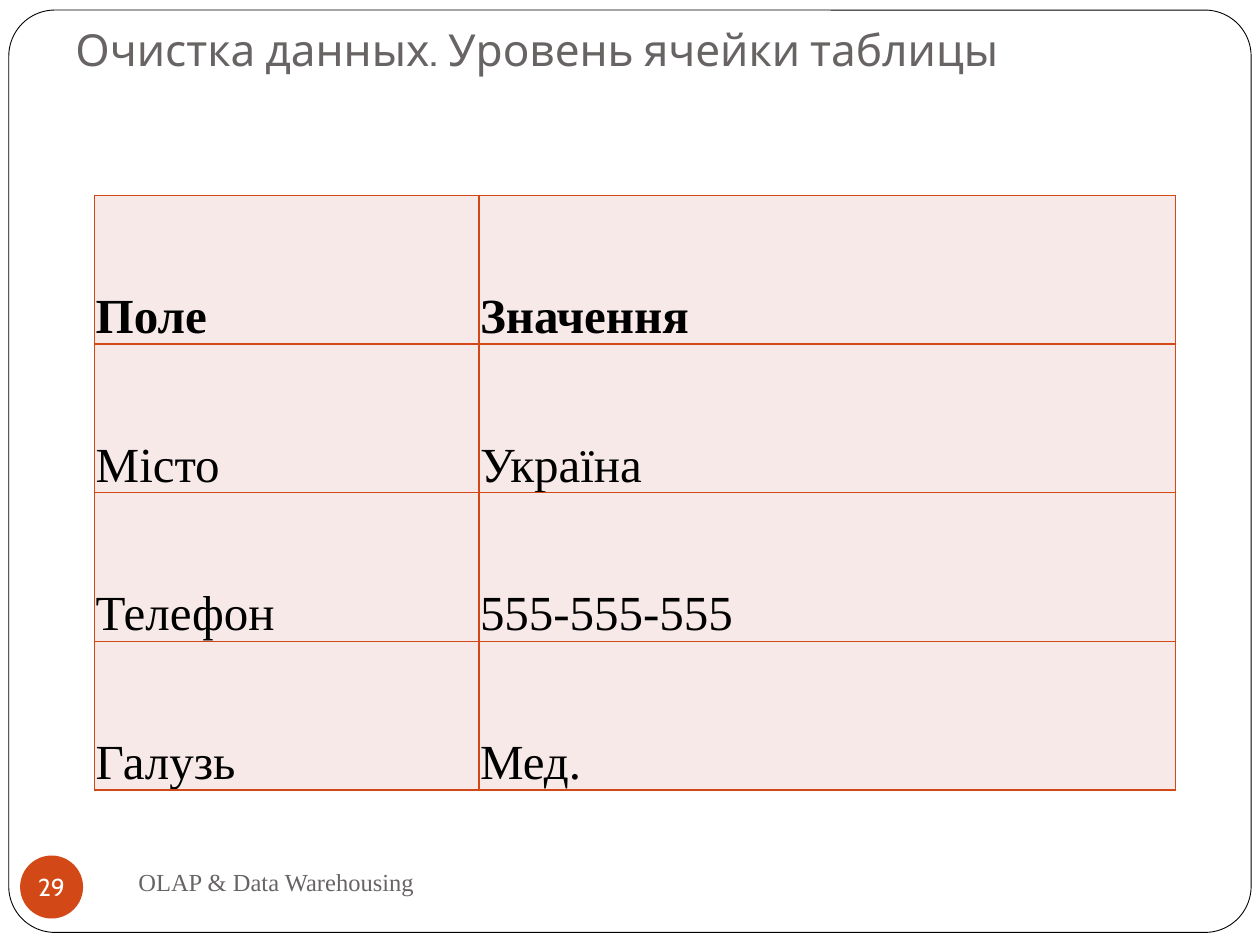
from dataclasses import dataclass

from lxml.etree import SubElement
from pptx import Presentation
from pptx.dml.color import RGBColor
from pptx.enum.shapes import MSO_SHAPE
from pptx.enum.text import MSO_ANCHOR, PP_ALIGN
from pptx.oxml.ns import qn
from pptx.util import Inches, Pt

HUES = {"white": "FFFFFF", "black": "000000", "grey": "696464",
        "rust": "D34817", "pink": "F7E9E8"}
SERIF = "Times New Roman"
SANS = "Cabin"


@dataclass
class Style:
    font: str
    size: float
    hue: str
    bold: bool = False


@dataclass
class Label:
    text: str
    box: tuple
    style: Style
    anchor: MSO_ANCHOR
    pads: tuple = (0.1, 0.05, 0.1, 0.05)


LABELS = [
    Label("Очистка данных. Уровень ячейки таблицы", (0.5, 0.17, 9, 0.53),
          Style(SANS, 25.2, "grey"), MSO_ANCHOR.BOTTOM, (0.1, 0.05, 0.1, 0.1)),
    Label("OLAP & Data Warehousing", (1, 6.75, 4.33, 0.5),
          Style(SERIF, 14, "grey"), MSO_ANCHOR.MIDDLE),
]
ROWS = [("Поле", "Значення"), ("Місто", "Україна"),
        ("Телефон", "555-555-555"), ("Галузь", "Мед.")]
COLS = (3.05, 5.53)
ROW_H = 1.18


def rgb(hue: str) -> RGBColor:
    return RGBColor.from_string(HUES[hue])


def paint(part, hue: str) -> None:
    part.fill.solid()
    part.fill.fore_color.rgb = rgb(hue)


def pad(part, pads: tuple) -> None:
    (part.margin_left, part.margin_top,
     part.margin_right, part.margin_bottom) = map(Inches, pads)


def write(frame, text: str, style: Style, align=PP_ALIGN.LEFT) -> None:
    para = frame.paragraphs[0]
    para.alignment = align
    run = para.add_run()
    run.text = text
    font = run.font
    font.name, font.size, font.bold = style.font, Pt(style.size), style.bold
    font.color.rgb = rgb(style.hue)


def add_shape(slide, kind: MSO_SHAPE, box: tuple, hue: str):
    shape = slide.shapes.add_shape(kind, *map(Inches, box))
    shape.shadow.inherit = False
    paint(shape, hue)
    return shape


def add_label(slide, label: Label) -> None:
    frame = slide.shapes.add_textbox(*map(Inches, label.box)).text_frame
    frame.word_wrap = True
    frame.vertical_anchor = label.anchor
    pad(frame, label.pads)
    write(frame, label.text, label.style)


def edge(cell, hue: str) -> None:
    props = cell._tc.get_or_add_tcPr()
    for tag in ("a:lnL", "a:lnR", "a:lnT", "a:lnB"):
        line = SubElement(props, qn(tag), w=str(Pt(1)))
        fill = SubElement(line, qn("a:solidFill"))
        SubElement(fill, qn("a:srgbClr"), val=HUES[hue])


def add_grid(slide, left: float, top: float) -> None:
    size = (sum(COLS), ROW_H * len(ROWS))
    grid = slide.shapes.add_table(
        len(ROWS), len(COLS), *map(Inches, (left, top, *size))).table
    for col, wide in zip(grid.columns, COLS):
        col.width = Inches(wide)
    for r, texts in enumerate(ROWS):
        grid.rows[r].height = Inches(ROW_H)
        for c, text in enumerate(texts):
            cell = grid.cell(r, c)
            cell.vertical_anchor = MSO_ANCHOR.BOTTOM
            pad(cell, (0.01, 0.01, 0.01, 0))
            write(cell.text_frame, text, Style(SERIF, 28, "black", r == 0))
            # Borders come before the fill in the cell's XML
            edge(cell, "rust")
            paint(cell, "pink")


def main() -> None:
    deck = Presentation()
    deck.slide_width, deck.slide_height = Inches(10), Inches(7.5)
    slide = deck.slides.add_slide(deck.slide_layouts[6])

    # Rounded page frame
    frame = add_shape(slide, MSO_SHAPE.ROUNDED_RECTANGLE,
                      (0.07, 0.08, 9.86, 7.32), "white")
    frame.adjustments[0] = 0.05
    frame.line.color.rgb = rgb("black")
    frame.line.width = Pt(0.5)

    # Title and footer
    for label in LABELS:
        add_label(slide, label)

    # Page number badge
    badge = add_shape(slide, MSO_SHAPE.OVAL, (0.16, 6.79, 0.5, 0.5), "rust")
    badge.line.fill.background()
    text = badge.text_frame
    text.word_wrap = False
    text.vertical_anchor = MSO_ANCHOR.MIDDLE
    pad(text, (0, 0, 0, 0))
    write(text, "29", Style(SANS, 14, "white"), PP_ALIGN.CENTER)

    # Field and value table
    add_grid(slide, 0.75, 1.55)
    deck.save("out.pptx")


if __name__ == "__main__":
    main()
